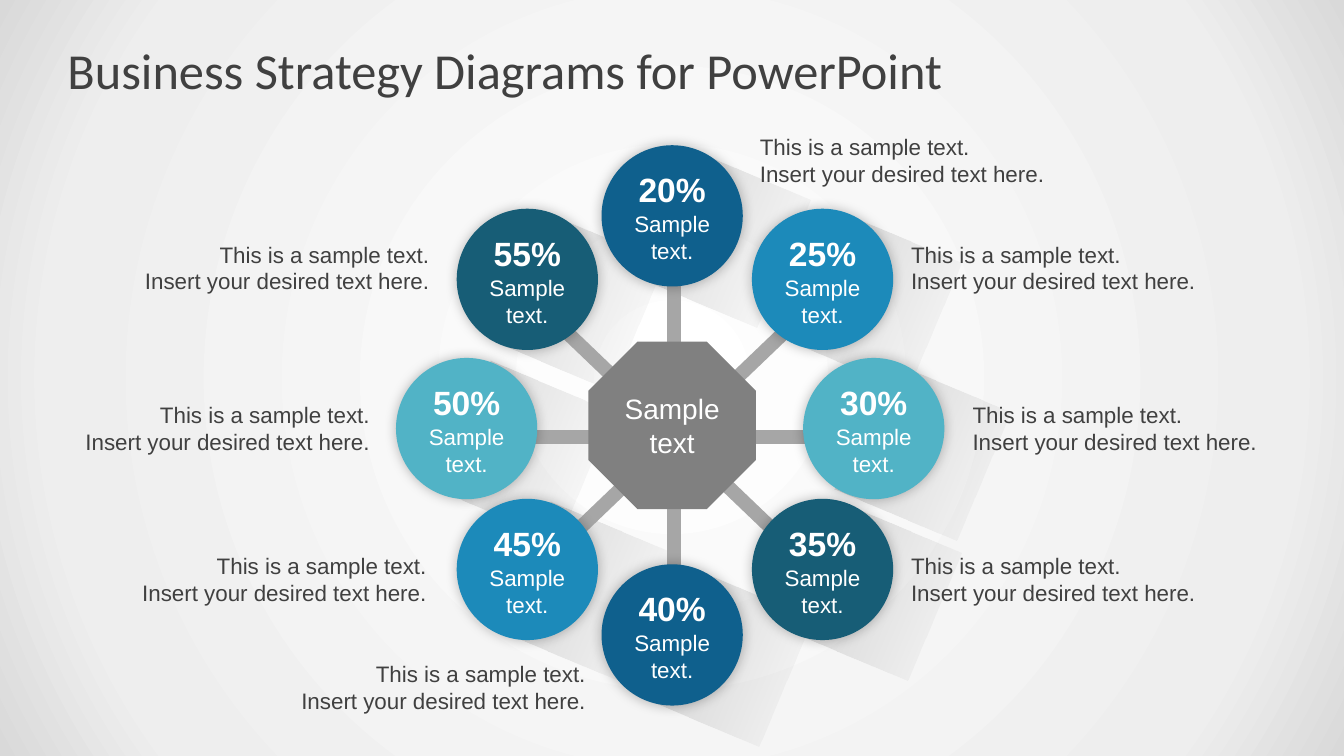
from lxml import etree
from pptx import Presentation
from pptx.dml.color import RGBColor
from pptx.enum.shapes import MSO_CONNECTOR, MSO_SHAPE
from pptx.enum.text import MSO_ANCHOR, MSO_AUTO_SIZE, PP_ALIGN
from pptx.oxml.ns import qn
from pptx.util import Cm, Pt

STRAIGHT = MSO_CONNECTOR.STRAIGHT
RECT, OVAL, OCTAGON = MSO_SHAPE.RECTANGLE, MSO_SHAPE.OVAL, MSO_SHAPE.OCTAGON
MIDDLE, TOP = MSO_ANCHOR.MIDDLE, MSO_ANCHOR.TOP
GROW, FIXED = MSO_AUTO_SIZE.SHAPE_TO_FIT_TEXT, MSO_AUTO_SIZE.NONE
LEFT, CENTER, RIGHT = PP_ALIGN.LEFT, PP_ALIGN.CENTER, PP_ALIGN.RIGHT

COLORS = {
    "ink": "404040", "white": "FFFFFF", "black": "000000",
    "mist": "EEEEEE", "edge": "D9D9D9", "spoke": "A6A6A6", "hub": "808080",
    "navy": "0F608D", "blue": "1C8ABA", "teal": "175D76", "aqua": "51B3C6",
}
BALL = 3.56
NODES = [
    ("20%", "navy", 15.16, 3.66, 1.4, 18.9, 3.23, LEFT),
    ("40%", "navy", 15.16, 14.22, 1.45, 7.01, 16.51, RIGHT),
    ("35%", "teal", 18.95, 12.57, 1.4, 22.71, 13.79, LEFT),
    ("45%", "blue", 11.51, 12.57, 1.55, 3.0, 13.79, RIGHT),
    ("25%", "blue", 18.95, 5.26, 1.4, 22.71, 5.94, LEFT),
    ("55%", "teal", 11.51, 5.26, 1.37, 3.07, 5.94, RIGHT),
    ("30%", "aqua", 20.24, 9.02, 1.35, 24.26, 9.98, LEFT),
    ("50%", "aqua", 9.98, 9.02, 1.57, 1.57, 9.98, RIGHT),
]
SPOKES = [
    (14.1, 8.2, 19.94, 13.79),
    (20.24, 7.92, 14.4, 13.51),
    (16.99, 6.43, 16.99, 15.06),
    (12.83, 11, 21.46, 11),
]


class Deck:
    def __init__(self, font):
        self.font = font
        self.prs = Presentation()
        self.prs.slide_width, self.prs.slide_height = Cm(33.87), Cm(19.05)
        self.slide = self.prs.slides.add_slide(self.prs.slide_layouts[5])

    def color(self, name):
        return RGBColor.from_string(COLORS[name])

    def tint(self, parent, name, alpha):
        clr = etree.SubElement(parent, qn("a:srgbClr"), val=COLORS[name])
        if alpha < 100:
            etree.SubElement(clr, qn("a:alpha"), val=str(alpha * 1000))

    def blend(self, owner, stops, angle=None):
        grad = next(owner.element.iter(qn("a:gradFill")))
        grad.clear()
        grad.set("rotWithShape", "1")
        stop_list = etree.SubElement(grad, qn("a:gsLst"))
        for pos, name, alpha in stops:
            stop = etree.SubElement(stop_list, qn("a:gs"), pos=str(pos * 1000))
            self.tint(stop, name, alpha)
        if angle is None:
            circle = etree.SubElement(grad, qn("a:path"), {"path": "circle"})
            etree.SubElement(circle, qn("a:fillToRect"),
                             dict.fromkeys("ltrb", "50000"))
        else:
            etree.SubElement(grad, qn("a:lin"), ang=str(angle * 60000), scaled="0")

    def backdrop(self):
        self.slide.background.fill.gradient()
        self.blend(self.slide, [(0, "white", 100), (81, "mist", 100), (100, "edge", 100)])

    def label(self, shape, lines, size, color, align, bold=False,
              font=None, anchor=TOP, fit=GROW):
        frame = shape.text_frame
        frame.word_wrap = True
        frame.auto_size = fit
        frame.vertical_anchor = anchor
        frame.text = "\n".join(lines)
        for para in frame.paragraphs:
            para.alignment = align
            para.font.name = font or self.font
            para.font.size = Pt(size)
            para.font.bold = bold
            para.font.color.rgb = self.color(color)

    def title(self, text):
        shape = self.slide.shapes.title
        shape.left, shape.top, shape.width, shape.height = (
            Cm(v) for v in (1.7, 0.76, 30.48, 1.98))
        shape.text_frame.margin_left = shape.text_frame.margin_right = 0
        self.label(shape, [text], 36, "ink", LEFT, font="Calibri",
                   anchor=MIDDLE, fit=FIXED)

    def shape(self, kind, x, y, w, h, color=None):
        shape = self.slide.shapes.add_shape(kind, Cm(x), Cm(y), Cm(w), Cm(h))
        shape.shadow.inherit = False
        shape.line.fill.background()
        if color:
            shape.fill.solid()
            shape.fill.fore_color.rgb = self.color(color)
        return shape

    def shade(self, x, y):
        shape = self.shape(RECT, x, y, 3.33, 3.5)
        shape.rotation = 22.8
        shape.fill.gradient()
        self.blend(shape, [(0, "black", 0), (100, "black", 16)], 180)

    def ball(self, x, y, color):
        shape = self.shape(OVAL, x, y, BALL, BALL, color)
        effects = next(shape.element.iter(qn("a:effectLst")))
        glow = etree.SubElement(effects, qn("a:outerShdw"), blurRad=str(Pt(9)),
                                dist="0", dir="0", algn="ctr", rotWithShape="0")
        self.tint(glow, "black", 28)

    def spoke(self, x1, y1, x2, y2):
        line = self.slide.shapes.add_connector(STRAIGHT, Cm(x1), Cm(y1), Cm(x2), Cm(y2))
        line.line.color.rgb = self.color("spoke")
        line.line.width = Pt(10)
        props = next(line.element.iter(qn("p:spPr")))
        etree.SubElement(props, qn("a:effectLst"))

    def text(self, x, y, w, h, lines, size, color, align, bold=False):
        box = self.slide.shapes.add_textbox(Cm(x), Cm(y), Cm(w), Cm(h))
        self.label(box, lines, size, color, align, bold)


def main():
    deck = Deck("Arial")
    deck.backdrop()
    deck.title("Business Strategy Diagrams for PowerPoint")
    for _, _, x, y, shift, *_ in NODES:
        deck.shade(x + shift, y + 0.58)
    for ends in SPOKES:
        deck.spoke(*ends)
    for _, color, x, y, *_ in NODES:
        deck.ball(x, y, color)
    hub = deck.shape(OCTAGON, 14.83, 8.61, 4.22, 4.22, "hub")
    deck.label(hub, ["Sample", "text"], 20, "white", CENTER, anchor=MIDDLE, fit=FIXED)
    note = ["This is a sample text.", "Insert your desired text here."]
    for share, _, x, y, _, note_x, note_y, align in NODES:
        deck.text(x + 0.41, y + 1.52, 2.74, 1.63, ["Sample", "text."], 16, "white", CENTER)
        deck.text(x + 0.41, y + 0.48, 2.74, 1.27, [share], 24, "white", CENTER, True)
        deck.text(note_x, note_y, 8, 1.63, note, 16, "ink", align)
    deck.prs.save("out.pptx")


if __name__ == "__main__":
    main()
